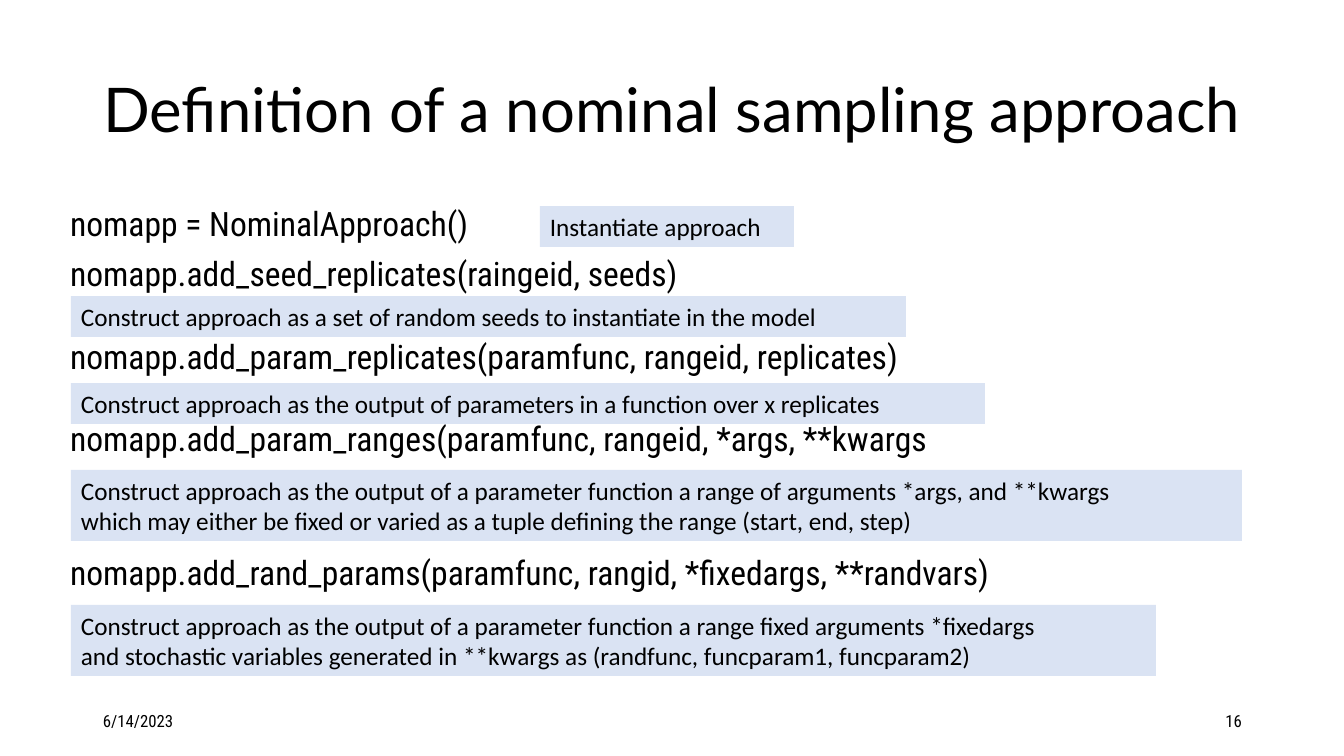
from dataclasses import dataclass
from pptx import Presentation
from pptx import util as u
from pptx.dml.color import RGBColor
from pptx.enum import text
from pptx.oxml import parse_xml
from pptx.oxml.ns import nsdecls

PX = 914400 / 100.8


@dataclass(frozen=True)
class Theme:
    ink: RGBColor = RGBColor(0, 0, 0)
    note_fill: RGBColor = RGBColor(0xDA, 0xE3, 0xF3)
    title: tuple = ("Lato", 44)
    code: tuple = ("Roboto Condensed", 24)
    note: tuple = ("Calibri", 18)
    footer: tuple = ("Roboto Condensed", 12)


THEME = Theme()

# Each call with the space before it, in points
CALLS = [
    ("nomapp = NominalApproach()", 10),
    ("nomapp.add_seed_replicates(raingeid, seeds)", 10),
    ("nomapp.add_param_replicates(paramfunc, rangeid, replicates)", 33.2),
    ("nomapp.add_param_ranges(paramfunc, rangeid, *args, **kwargs", 33.2),
    ("nomapp.add_rand_params(paramfunc, rangid, *fixedargs, **randvars)", 69.5),
]

# Each explanation with its box: left, top, width, height
NOTES = [
    ((540, 206, 254, 41), ["Instantiate approach"]),
    ((71, 296, 835, 41),
     ["Construct approach as a set of random seeds to instantiate in the model"]),
    ((71, 383, 914, 41),
     ["Construct approach as the output of parameters in a function over x replicates"]),
    ((71, 470, 1171, 71),
     ["Construct approach as the output of a parameter function a range of arguments *args, and **kwargs",
      "which may either be fixed or varied as a tuple defining the range (start, end, step)"]),
    ((71, 605, 1085, 71),
     ["Construct approach as the output of a parameter function a range fixed arguments *fixedargs",
      "and stochastic variables generated in **kwargs as (randfunc, funcparam1, funcparam2)"]),
]


def emu(pixels):
    return u.Emu(round(pixels * PX))


def place(part, box):
    part.left, part.top, part.width, part.height = map(emu, box)


def write(part, lines, style, align=text.PP_ALIGN.LEFT, anchor=text.MSO_ANCHOR.TOP):
    """Fill a part with one paragraph per line and return the paragraphs."""
    frame = part.text_frame
    frame.text = "\n".join(lines)
    frame.word_wrap = True
    frame.auto_size = text.MSO_AUTO_SIZE.NONE
    frame.vertical_anchor = anchor
    family, size = style
    for paragraph in frame.paragraphs:
        paragraph.alignment = align
        paragraph.font.name = family
        paragraph.font.size = u.Pt(size)
        paragraph.font.color.rgb = THEME.ink
    return frame.paragraphs


def add_heading(slide, box):
    heading = slide.shapes.title
    place(heading, box)
    [line] = write(heading, ["Definition of a nominal sampling approach"],
                   THEME.title, anchor=text.MSO_ANCHOR.MIDDLE)
    line.line_spacing = 0.9


def add_calls(slide, box):
    listing = slide.placeholders[1]
    place(listing, box)
    lines = write(listing, [call for call, _ in CALLS], THEME.code)
    for line, (_, gap) in zip(lines, CALLS):
        line.line_spacing = 0.9
        line.space_before = u.Pt(gap)
        # No bullet and no hanging indent
        properties = line._p.get_or_add_pPr()
        properties.set("marL", "0")
        properties.set("indent", "0")
        bullet = parse_xml(f"<a:buNone {nsdecls('a')}/>")
        properties.insert_element_before(bullet, "a:tabLst", "a:defRPr", "a:extLst")


def add_note(slide, box, lines):
    note = slide.shapes.add_textbox(*map(emu, box))
    note.fill.solid()
    note.fill.fore_color.rgb = THEME.note_fill
    write(note, lines, THEME.note)


def add_footer(slide, box):
    left, top, width, height = box
    field = 302
    for x, words, align in [(left, "6/14/2023", text.PP_ALIGN.LEFT),
                            (left + width - field, "16", text.PP_ALIGN.RIGHT)]:
        part = slide.shapes.add_textbox(*map(emu, (x, top, field, height)))
        write(part, [words], THEME.footer, align, text.MSO_ANCHOR.MIDDLE)


def build_slide(deck):
    slide = deck.slides.add_slide(deck.slide_layouts[1])
    add_heading(slide, (93, 40, 1159, 146))
    add_calls(slide, (60, 202, 1191, 480))
    for box, lines in NOTES:
        add_note(slide, box, lines)
    add_footer(slide, (93, 701, 1159, 40))


deck = Presentation()
deck.slide_width, deck.slide_height = emu(1344), emu(756)
build_slide(deck)
deck.save("out.pptx")
